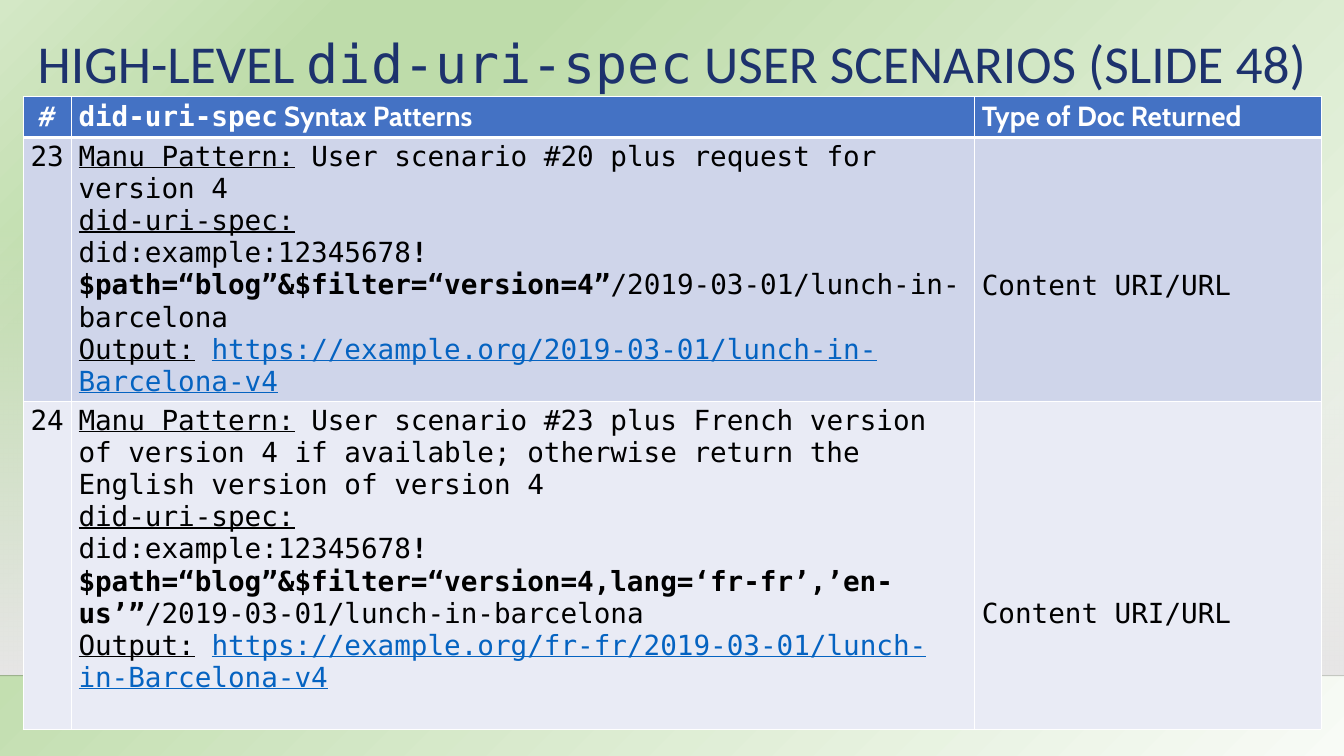
import pptx
import pptx.util
import pptx.dml.color
import pptx.enum.dml
import pptx.enum.shapes
import pptx.enum.text
import pptx.oxml
import pptx.oxml.ns

Cm = pptx.util.Cm
Pt = pptx.util.Pt
qn = pptx.oxml.ns.qn
RGB = pptx.dml.color.RGBColor.from_string
CENTER = pptx.enum.text.PP_ALIGN.CENTER
NS = pptx.oxml.ns.nsdecls("a")
MONO = "DejaVu Sans Mono"
COLORS = {
    "navy": "1D326D", "white": "FFFFFF", "black": "000000", "link": "0563C1",
    "header": "4472C4", "odd": "CFD5EA", "even": "E9EBF5",
    "mist": "F8FBF6", "leaf": "BEDCAA", "pale": "D4E8C6",
    "gray": "E7E6E6", "horizon": "000001",
}


def write(paragraph, text, font=MONO, size=28, color="black", bold=False, underline=False):
    run = paragraph.add_run()
    run.text = text
    run.font.name = font
    run.font.size = Pt(size)
    run.font.bold = bold
    run.font.underline = underline
    run.font.color.rgb = RGB(COLORS[color])


def set_gradient(owner, stops, angle):
    gradient = owner.find(".//" + qn("a:gradFill"))
    stop_list = gradient.find(qn("a:gsLst"))
    for stop in list(stop_list):
        stop_list.remove(stop)
    for position, color, alpha in stops:
        stop_list.append(pptx.oxml.parse_xml(
            f'<a:gs {NS} pos="{position * 1000}"><a:srgbClr val="{COLORS[color]}">'
            f'<a:alpha val="{alpha * 1000}"/></a:srgbClr></a:gs>'))
    gradient.find(qn("a:lin")).set("ang", str(angle * 60000))


deck = pptx.Presentation()
deck.slide_width = Cm(48)
deck.slide_height = Cm(27)
slide = deck.slides.add_slide(deck.slide_layouts[5])

slide.background.fill.gradient()
set_gradient(slide.element, [(0, "mist", 100), (74, "leaf", 100),
                             (83, "leaf", 100), (100, "pale", 100)], 225)

haze = slide.shapes.add_shape(pptx.enum.shapes.MSO_SHAPE.RECTANGLE,
                              0, Cm(7.95), Cm(48), Cm(16.15))
haze.shadow.inherit = False
haze.line.fill.background()
haze.fill.gradient()
set_gradient(haze.element, [(0, "gray", 0), (100, "gray", 100)], 90)

horizon = slide.shapes.add_connector(pptx.enum.shapes.MSO_CONNECTOR.STRAIGHT,
                                     0, Cm(24.13), Cm(48), Cm(24.13))
horizon.line.width = Pt(1)
horizon.line.color.rgb = RGB(COLORS["horizon"])
horizon.element.find(".//" + qn("a:srgbClr")).append(
    pptx.oxml.parse_xml(f'<a:alpha {NS} val="20000"/>'))
horizon.element.spPr.append(pptx.oxml.parse_xml(f"<a:effectLst {NS}/>"))

title = slide.shapes.title
title.left, title.top, title.width, title.height = 0, Cm(1.2), Cm(48), Cm(4.15)
title.text_frame.word_wrap = True
title.text_frame.auto_size = pptx.enum.text.MSO_AUTO_SIZE.NONE
title.text_frame.vertical_anchor = pptx.enum.text.MSO_ANCHOR.TOP
heading = title.text_frame.paragraphs[0]
heading.alignment = CENTER
heading.line_spacing = 0.9
for text, font in [("HIGH-LEVEL ", "Calibri"), ("did-uri-spec", MONO),
                   (" USER SCENARIOS (SLIDE 48)", "Calibri")]:
    write(heading, text, font=font, size=54, color="navy")

column_widths = [1.73, 32.26, 12.37]
row_heights = [1.45, 9.42, 11.7]
scenarios = slide.shapes.add_table(3, 3, Cm(0.82), Cm(3.45), Cm(sum(column_widths)),
                                   Cm(sum(row_heights))).table
for column, width in zip(scenarios.columns, column_widths):
    column.width = Cm(width)
for row, height in zip(scenarios.rows, row_heights):
    row.height = Cm(height)

for row_index, fill in enumerate(["header", "odd", "even"]):
    for cell in scenarios.rows[row_index].cells:
        widths = {"L": 1, "R": 1, "T": 3 if row_index == 1 else 1,
                  "B": 3 if row_index == 0 else 1}
        properties = cell._tc.get_or_add_tcPr()
        for side, width in widths.items():
            properties.append(pptx.oxml.parse_xml(
                f'<a:ln{side} {NS} w="{Pt(width)}"><a:solidFill>'
                f'<a:srgbClr val="{COLORS["white"]}"/></a:solidFill></a:ln{side}>'))
        cell.fill.solid()
        cell.fill.fore_color.rgb = RGB(COLORS[fill])
    scenarios.cell(row_index, 0).text_frame.paragraphs[0].alignment = CENTER

headers = [
    [("#", "Cabin")],
    [("did-uri-spec", MONO), (" Syntax Patterns", "Cabin")],
    [("Type of Doc Returned", "Cabin")],
]
for column_index, parts in enumerate(headers):
    label = scenarios.cell(0, column_index).text_frame.paragraphs[0]
    for text, font in parts:
        write(label, text, font=font, color="white", bold=True)

LINE_HEIGHT = 1.15
rows = [
    ("23", "User scenario #20 plus request for version 4",
     "!$path=“blog”&$filter=“version=4”",
     "https://example.org/2019-03-01/lunch-in-Barcelona-v4", 4),
    ("24", "User scenario #23 plus French version of version 4 if available; "
     "otherwise return the English version of version 4",
     "!$path=“blog”&$filter=“version=4,lang=‘fr-fr’,’en-us’”",
     "https://example.org/fr-fr/2019-03-01/lunch-in-Barcelona-v4", 6),
]
for row_index, (number, pattern, query, output, lines_above) in enumerate(rows, start=1):
    write(scenarios.cell(row_index, 0).text_frame.paragraphs[0], number)

    syntax = scenarios.cell(row_index, 1).text_frame
    manu = syntax.paragraphs[0]
    write(manu, "Manu Pattern:", underline=True)
    write(manu, " " + pattern)

    uri = syntax.add_paragraph()
    write(uri, "did-uri-spec:", underline=True)
    uri.add_line_break()
    write(uri, "did:example:12345678")
    write(uri, query, bold=True)
    write(uri, "/2019-03-01/lunch-in-barcelona")

    result = syntax.add_paragraph()
    write(result, "Output:", underline=True)
    write(result, " ")
    write(result, output, color="link", underline=True)

    returned = scenarios.cell(row_index, 2)
    returned.margin_top = Cm(0.13 + lines_above * LINE_HEIGHT)
    write(returned.text_frame.paragraphs[0], "Content URI/URL")

deck.save("out.pptx")
